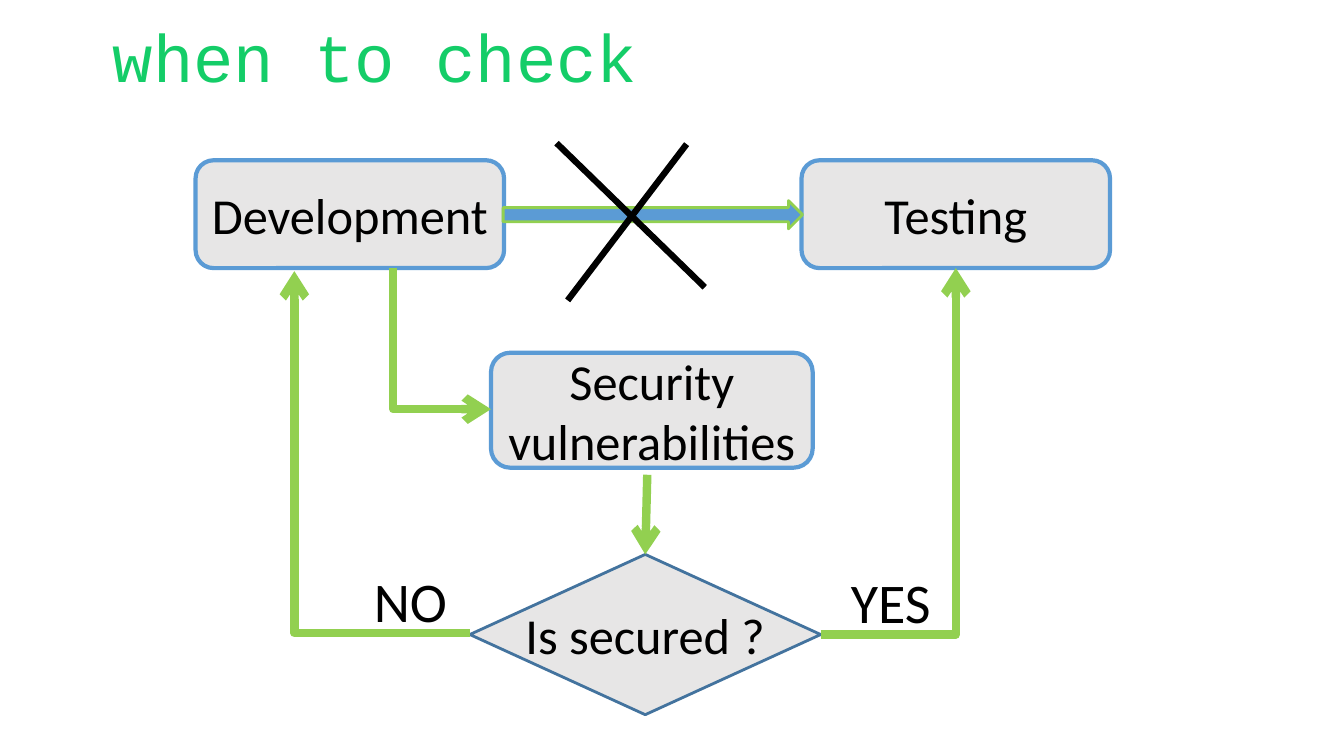
from pptx import Presentation
from pptx.dml.color import RGBColor
from pptx.enum.shapes import MSO_CONNECTOR as LINK, MSO_SHAPE as SHAPE
from pptx.enum.text import MSO_ANCHOR as ANCHOR, MSO_AUTO_SIZE as FIT, PP_ALIGN as ALIGN
from pptx.oxml.ns import qn
from pptx.util import Inches, Pt
from lxml.etree import SubElement

BLACK = RGBColor(0x00, 0x00, 0x00)
GREY = RGBColor(0xE7, 0xE6, 0xE6)
BLUE = RGBColor(0x5B, 0x9B, 0xD5)
DARK_BLUE = RGBColor(0x43, 0x73, 0x9E)
LIME = RGBColor(0x92, 0xD0, 0x50)
GREEN = RGBColor(0x14, 0xCD, 0x68)
DARK_GREEN = RGBColor(0x0B, 0x6E, 0x38)

STEP_SIZE = (3.06, 1.07)
DEVELOPMENT = (1.94, 1.59, *STEP_SIZE)
TESTING = (7.95, 1.59, *STEP_SIZE)
SECURITY = (4.87, 3.5, 3.19, 1.14)
DECISION = (4.66, 5.5, 3.48, 1.59)


def write(frame, text, size=36, font="Calibri", color=BLACK, align=ALIGN.CENTER,
          anchor=ANCHOR.MIDDLE, wrap=True, inset=(0, 0)):
    """Put one formatted paragraph into a text frame and return its run."""
    frame.auto_size = FIT.NONE
    frame.word_wrap = wrap
    frame.vertical_anchor = anchor
    frame.margin_left = frame.margin_right = Inches(inset[0])
    frame.margin_top = frame.margin_bottom = Inches(inset[1])
    paragraph = frame.paragraphs[0]
    paragraph.alignment = align
    run = paragraph.add_run()
    run.text = text
    run.font.size = Pt(size)
    run.font.name = font
    run.font.color.rgb = color
    return run


def add_title(slide, box, text):
    """Place the slide title and give it a green gradient."""
    title = slide.shapes.title
    title.left, title.top, title.width, title.height = map(Inches, box)
    run = write(title.text_frame, text, size=48, font="Courier New", color=GREEN,
                align=ALIGN.LEFT, anchor=ANCHOR.BOTTOM, inset=(0.1, 0.05))
    title.text_frame.paragraphs[0].line_spacing = 0.9
    fill = run.font.fill
    fill.gradient()
    fill.gradient_angle = 270
    for stop, color in zip(fill.gradient_stops, (GREEN, DARK_GREEN)):
        stop.color.rgb = color


def add_block(slide, kind, box, text="", fill=GREY, line=BLUE, line_width=3, wrap=True):
    """Add a filled flowchart shape with its caption."""
    block = slide.shapes.add_shape(kind, *map(Inches, box))
    block.shadow.inherit = False
    block.fill.solid()
    block.fill.fore_color.rgb = fill
    block.line.color.rgb = line
    block.line.width = Pt(line_width)
    if text:
        write(block.text_frame, text, wrap=wrap)


def add_link(slide, start, end, color=LIME, width=6, arrow=None, bent=False):
    """Add a line; a bent one leaves its start horizontally and turns once."""
    kind = LINK.ELBOW if bent else LINK.STRAIGHT
    link = slide.shapes.add_connector(kind, *map(Inches, (*start, *end)))
    link.line.color.rgb = color
    link.line.width = Pt(width)
    properties = link._element.spPr
    if bent:
        properties.find(qn("a:prstGeom")).set("prst", "bentConnector2")
    if arrow:
        SubElement(properties.find(qn("a:ln")), qn(f"a:{arrow}"), type="arrow")
    SubElement(properties, qn("a:effectLst"))


def add_answer(slide, left, top, text):
    """Add the label of one branch of the decision."""
    label = slide.shapes.add_textbox(*map(Inches, (left, top, 1.2, 0.77)))
    write(label.text_frame, text, size=40, align=ALIGN.LEFT, anchor=ANCHOR.TOP,
          inset=(0.1, 0.05))


def add_crossed_path(slide, left, top, width):
    """Draw the direct path from development to testing, crossed out."""
    add_block(slide, SHAPE.RIGHT_ARROW, (left, top, width, 0.28),
              fill=BLUE, line=LIME, line_width=2)
    for (x1, y1), (x2, y2) in (((0.53, -0.57), (2.0, 0.86)), ((0.64, 0.99), (1.82, -0.56))):
        add_link(slide, (left + x1, top + y1), (left + x2, top + y2),
                 color=BLACK, width=4.5)


def add_flow(slide):
    """Draw the steps, the decision and the paths between them."""
    add_block(slide, SHAPE.ROUNDED_RECTANGLE, DEVELOPMENT, "Development")
    add_block(slide, SHAPE.ROUNDED_RECTANGLE, TESTING, "Testing")
    add_crossed_path(slide, 4.99, 1.99, 2.97)
    add_block(slide, SHAPE.ROUNDED_RECTANGLE, SECURITY, "Security vulnerabilities")
    add_block(slide, SHAPE.DIAMOND, DECISION, "Is secured ?",
              line=DARK_BLUE, line_width=2, wrap=False)

    left, top, width, height = DECISION
    middle = top + height / 2
    step_bottom = TESTING[1] + TESTING[3]
    testing_center = TESTING[0] + TESTING[2] / 2
    add_link(slide, (left + width, middle), (testing_center, step_bottom),
             arrow="tailEnd", bent=True)
    add_link(slide, (SECURITY[0], 4.06), (3.9, step_bottom), arrow="headEnd", bent=True)
    add_link(slide, (left, 6.28), (2.92, 2.69), arrow="tailEnd", bent=True)
    add_link(slide, (6.42, 4.71), (left + width / 2, top), arrow="tailEnd")
    add_answer(slide, left + width + 0.2, 5.58, "YES")
    add_answer(slide, left - 1.05, 5.57, "NO")


def main():
    """Build and save the slide."""
    deck = Presentation()
    deck.slide_width, deck.slide_height = Inches(13.33), Inches(7.5)
    slide = deck.slides.add_slide(deck.slide_layouts[5])
    add_title(slide, (1.02, 0.04, 10.19, 0.97), "when to check")
    add_flow(slide)
    deck.save("out.pptx")


if __name__ == "__main__":
    main()
